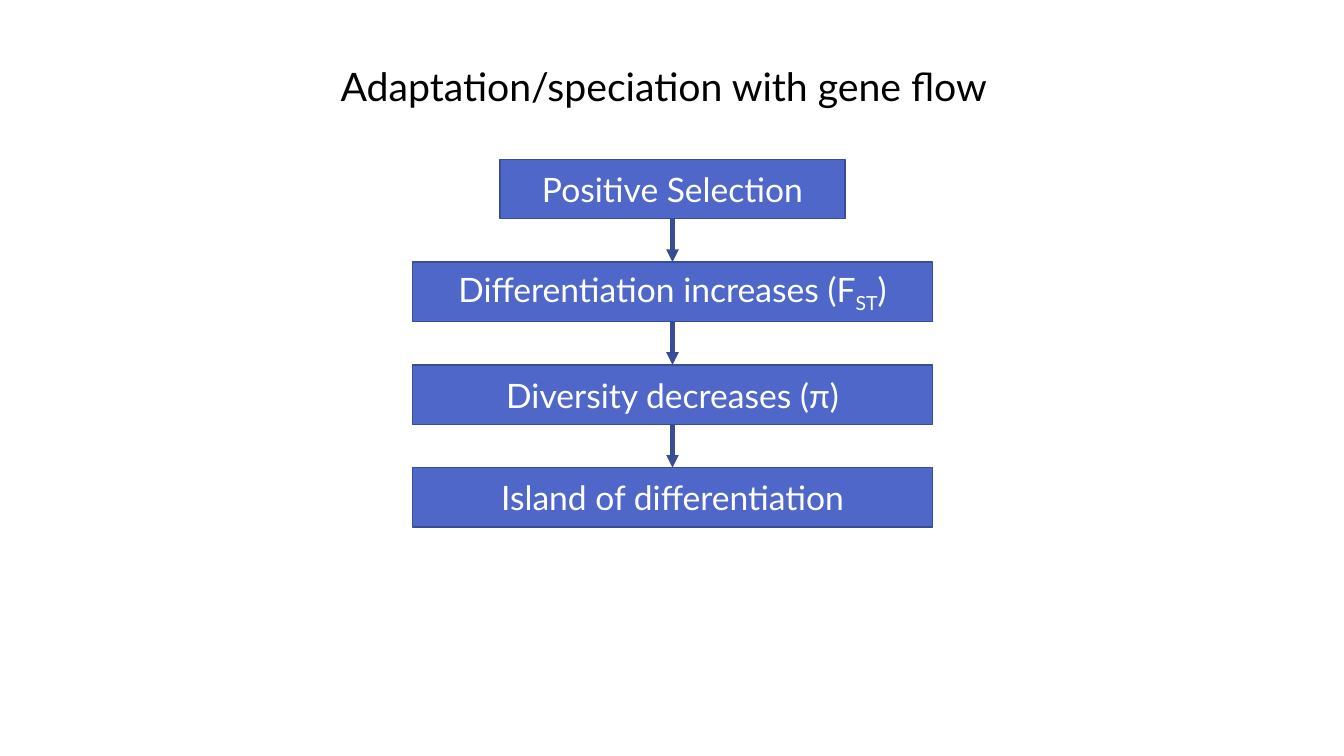
from dataclasses import dataclass

from pptx import Presentation
from pptx import util as u
from pptx.dml.color import RGBColor
from pptx.enum import shapes, text
from pptx.oxml.ns import qn
from lxml import etree

PX = 9144  # EMU in one px, 100 px to the inch


@dataclass(frozen=True)
class Theme:
    face: str = "Lato"
    fill: str = "4E67C8"
    edge: str = "3A4C94"
    light: str = "FFFFFF"
    dark: str = "000000"
    head: int = 28
    body: int = 24
    thin: int = 1
    thick: int = 3


class Chart:
    def __init__(self, deck, theme):
        self.theme = theme
        self.items = deck.slides.add_slide(deck.slide_layouts[6]).shapes

    def place(self, *vals):
        return [u.Emu(v * PX) for v in vals]

    def stroke(self, line, width):
        line.color.rgb = RGBColor.from_string(self.theme.edge)
        line.width = u.Pt(width)

    def label(self, frame, runs, size, color, align, form):
        for key, val in form.items():
            setattr(frame, key, val)
        para = frame.paragraphs[0]
        para.alignment = align
        for words, base in runs:
            run = para.add_run()
            run.text = words
            for key, val in {"name": self.theme.face, "size": u.Pt(size)}.items():
                setattr(run.font, key, val)
            run.font.color.rgb = RGBColor.from_string(color)
            if base:
                run._r.get_or_add_rPr().set("baseline", str(base * 1000))

    def title(self, words, *area):
        box = self.items.add_textbox(*self.place(*area))
        form = {"word_wrap": False, "auto_size": text.MSO_AUTO_SIZE.SHAPE_TO_FIT_TEXT}
        self.label(box.text_frame, [(words, 0)], self.theme.head,
                   self.theme.dark, text.PP_ALIGN.LEFT, form)

    def step(self, runs, *area):
        box = self.items.add_shape(shapes.MSO_SHAPE.RECTANGLE, *self.place(*area))
        box.shadow.inherit = False
        box.fill.solid()
        box.fill.fore_color.rgb = RGBColor.from_string(self.theme.fill)
        self.stroke(box.line, self.theme.thin)
        form = {"word_wrap": True, "vertical_anchor": text.MSO_ANCHOR.MIDDLE}
        self.label(box.text_frame, runs, self.theme.body,
                   self.theme.light, text.PP_ALIGN.CENTER, form)
        return box

    def arrow(self, start, end):
        link = self.items.add_connector(shapes.MSO_CONNECTOR.STRAIGHT, 0, 0, 0, 0)
        link.begin_connect(start, 2)
        link.end_connect(end, 0)
        self.stroke(link.line, self.theme.thick)
        props = link._element.spPr
        etree.SubElement(props.find(qn("a:ln")), qn("a:tailEnd"), type="triangle")
        etree.SubElement(props, qn("a:effectLst"))


def main():
    deck = Presentation()
    deck.slide_width, deck.slide_height = u.Inches(13.33), u.Inches(7.5)
    chart = Chart(deck, Theme())

    # Steps: width and text runs with their baseline shift in percent
    steps = [
        (342, [("Positive Selection", 0)]),
        (516, [("Differentiation increases (F", 0), ("ST", -25), (")", 0)]),
        (516, [("Diversity decreases (π)", 0)]),
        (516, [("Island of differentiation", 0)]),
    ]
    mid, top, pitch, tall = 667, 158, 102, 59
    boxes = [chart.step(runs, mid - wide // 2, top + i * pitch, wide, tall)
             for i, (wide, runs) in enumerate(steps)]

    # Arrows from each step to the next
    for start, end in zip(boxes, boxes[1:]):
        chart.arrow(start, end)

    # Title
    chart.title("Adaptation/speciation with gene flow", 328, 57, 678, 57)

    deck.save("out.pptx")


if __name__ == "__main__":
    main()
